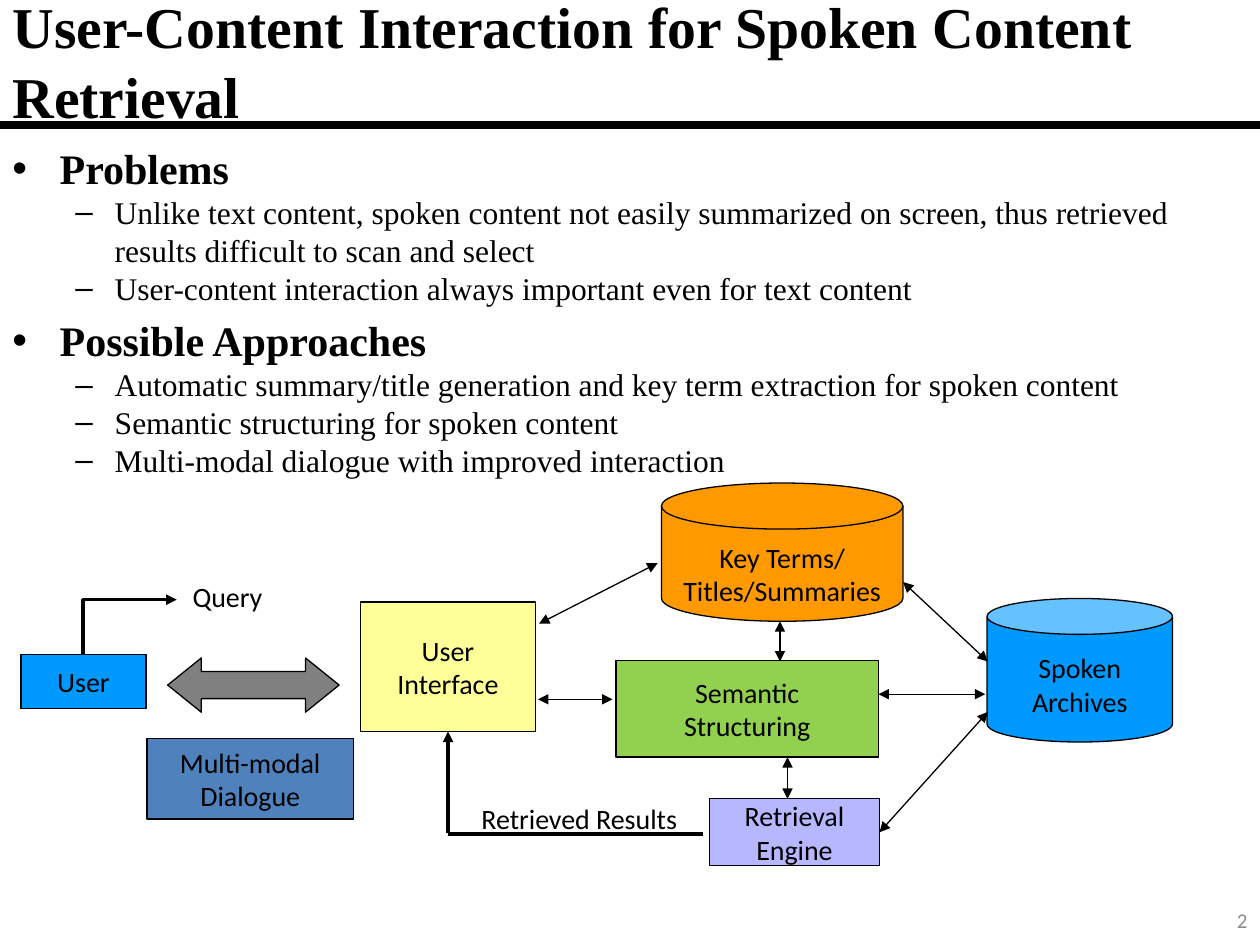
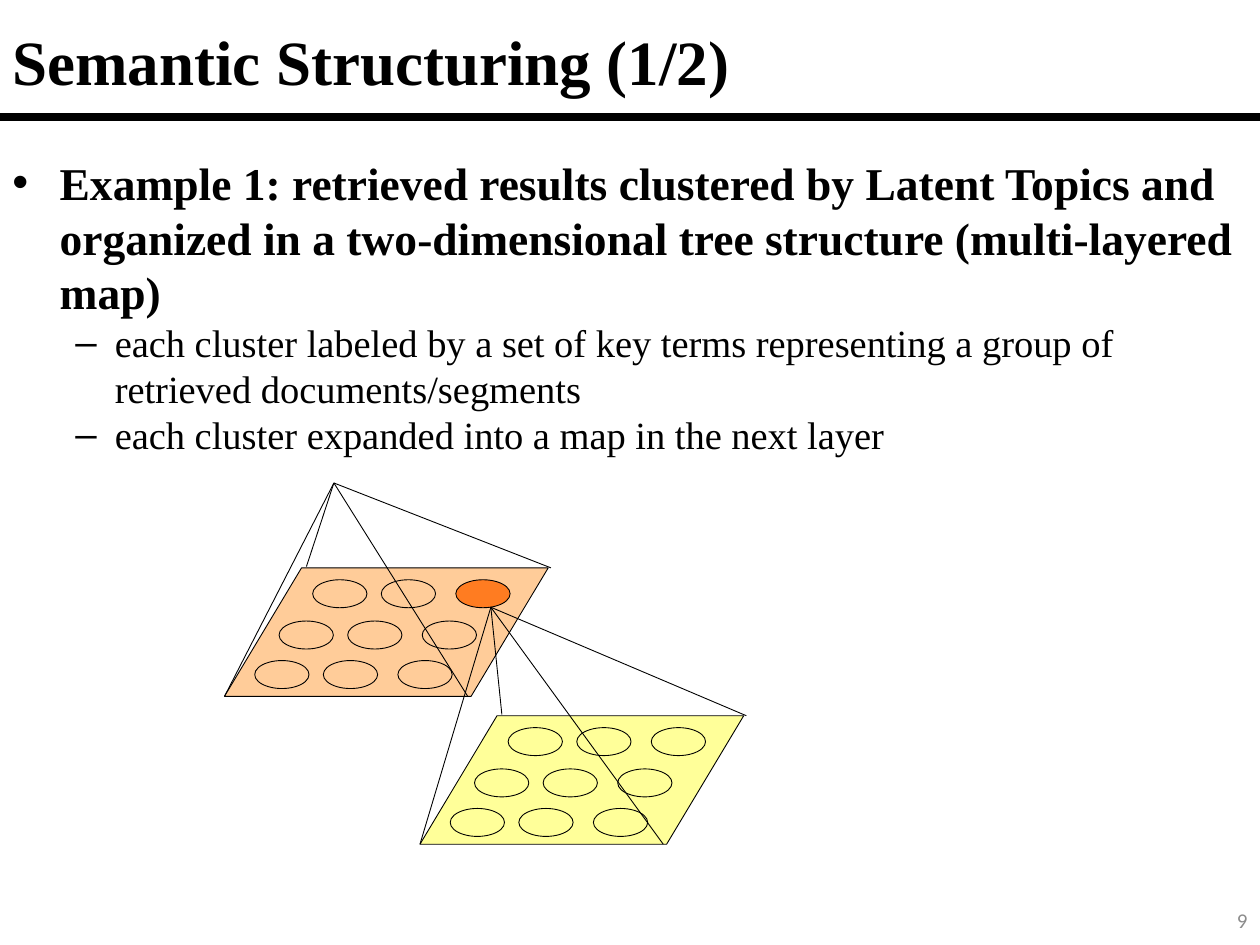
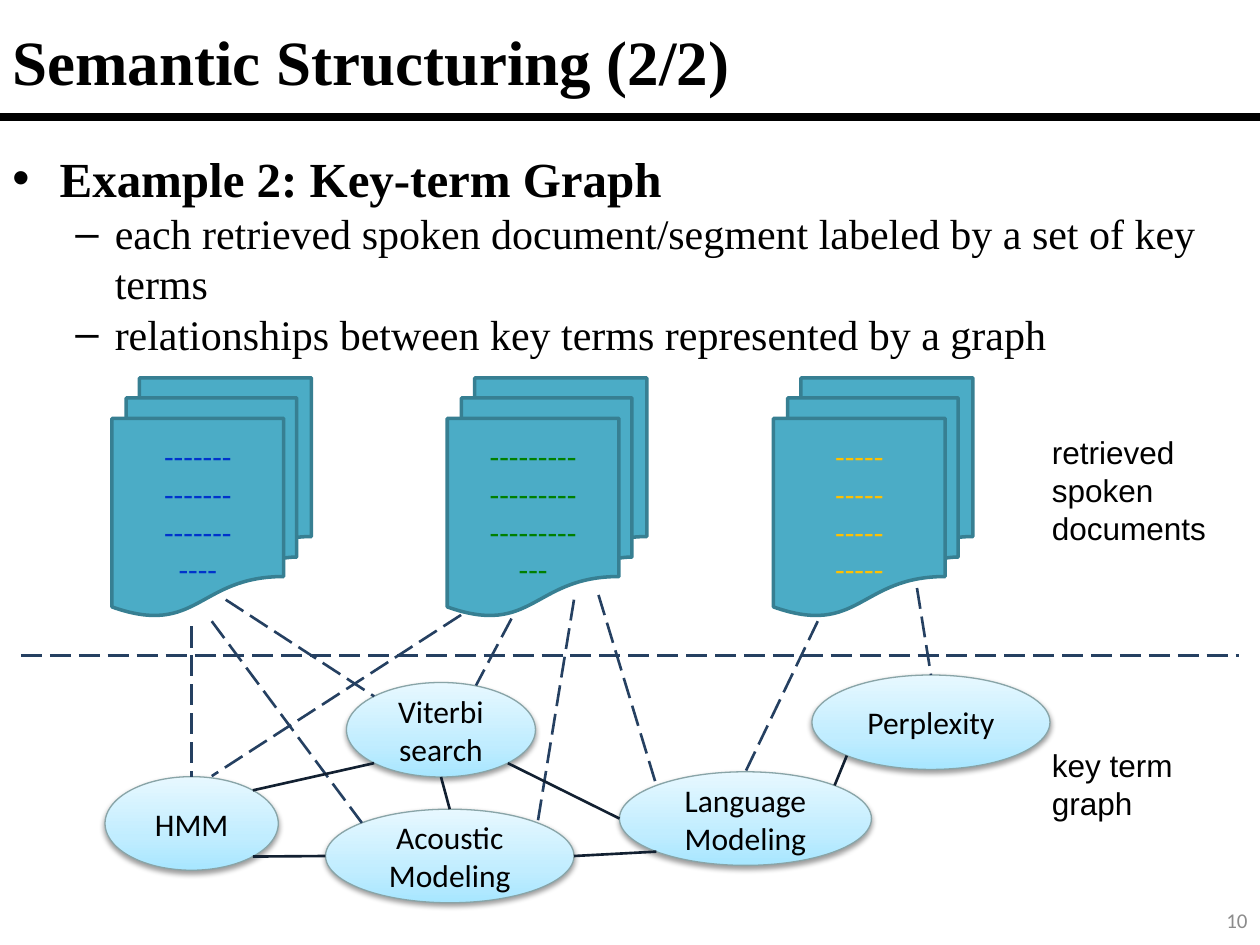
from math import cos, radians, sin

from lxml.etree import SubElement
from pptx import Presentation
from pptx.dml.color import RGBColor
from pptx.enum.dml import MSO_LINE_DASH_STYLE as Dash
from pptx.enum.shapes import MSO_CONNECTOR as Connector
from pptx.enum.shapes import MSO_SHAPE as Preset
from pptx.enum.text import MSO_ANCHOR as Anchor
from pptx.enum.text import PP_ALIGN as Align
from pptx.oxml.ns import qn
from pptx.util import Pt

COLOURS = {
    "black": "000000", "number": "8C8C8C",
    "blue": "0099FF", "orange": "FF9900", "grey": "808080", "steel": "4F81BD",
    "lilac": "B7B7FF", "yellow": "FFFF99", "green": "92D050",
    "peach": "FFCC99", "selected": "FF6600",
    "paper": "4BACC6", "paper edge": "377F92",
    "blue dashes": "0033CC", "green dashes": "008000", "gold dashes": "FFC000",
    "term edge": "89A4A7", "dashed link": "254061", "solid link": "122031",
}
TERM_GRADIENT = [(0, "A7E6FF"), (35, "C1EDFF"), (100, "E7F8FF")]
SERIF, SANS, LABEL = "Times New Roman", "Calibri", "Arial"
# Marker, left margin and hanging indent of each outline level
LEVELS = [("•", 27, 27), ("–", 58.5, 22.5)]


def colour(name):
    return RGBColor.from_string(COLOURS[name])


# Text
def write(shape, lines, size=16, font=SANS, color="black", bold=False,
          align=Align.CENTER, anchor=Anchor.MIDDLE, wrap=True,
          insets=(7.2, 3.6, 7.2, 3.6)):
    """Put one paragraph per line in the shape and return the paragraphs."""
    frame = shape.text_frame
    frame.word_wrap = wrap
    frame.vertical_anchor = anchor
    (frame.margin_left, frame.margin_top,
     frame.margin_right, frame.margin_bottom) = map(Pt, insets)
    paras = []
    for index, line in enumerate(lines):
        para = frame.add_paragraph() if index else frame.paragraphs[0]
        para.alignment = align
        span = para.add_run()
        span.text = line
        span.font.size = Pt(size)
        span.font.name = font
        span.font.bold = bold
        span.font.color.rgb = colour(color)
        paras.append(para)
    return paras


def add_text(page, area, lines, **style):
    box = page.shapes.add_textbox(*map(Pt, area))
    return write(box, lines, **style)


def add_outline(page, area, items, sizes):
    """Bulleted list; items are (level, text), sizes are per level."""
    paras = add_text(page, area, [text for _, text in items], font=SERIF,
                     align=Align.LEFT, anchor=Anchor.TOP)
    for para, (level, _) in zip(paras, items):
        marker, margin, hanging = LEVELS[level]
        span = para.runs[0]
        span.font.size = Pt(sizes[level])
        span.font.bold = level == 0
        para.level = level
        para.space_before = Pt(0 if level else sizes[0] * 0.2)
        props = para._p.get_or_add_pPr()
        props.set("marL", str(Pt(margin)))
        props.set("indent", str(-Pt(hanging)))
        SubElement(props, qn("a:buFont"), typeface=LABEL)
        SubElement(props, qn("a:buChar"), char=marker)


# Shapes and lines
def add_preset(page, preset, area, fill=None, line="black", width=0.75, adjust=()):
    shape = page.shapes.add_shape(preset, *map(Pt, area))
    shape.shadow.inherit = False
    for index, value in enumerate(adjust):
        shape.adjustments[index] = value
    if fill:
        shape.fill.solid()
        shape.fill.fore_color.rgb = colour(fill)
    else:
        shape.fill.background()
    shape.line.color.rgb = colour(line)
    shape.line.width = Pt(width)
    return shape


def add_link(page, start, end, color="black", width=0.75, dash=None,
             head=False, tail=False, kind=Connector.STRAIGHT):
    link = page.shapes.add_connector(kind, *map(Pt, (*start, *end)))
    link.line.color.rgb = colour(color)
    link.line.width = Pt(width)
    if dash:
        link.line.dash_style = dash
    stroke = link.line._get_or_add_ln()
    for tag, wanted in (("a:headEnd", head), ("a:tailEnd", tail)):
        if wanted:
            SubElement(stroke, qn(tag), type="triangle")
    SubElement(link._element.spPr, qn("a:effectLst"))
    return link


def add_double_arrow(page, start, end):
    return add_link(page, start, end, head=True, tail=True)


def add_page(deck, title, number, title_size=36, rule_top=67):
    """Blank page with the shared title, rule and page number."""
    page = deck.slides.add_slide(deck.slide_layouts[6])
    add_text(page, (0, 6, 719, 57), [title], size=title_size, font=SERIF,
             bold=True, align=Align.LEFT)
    add_link(page, (0, rule_top), (720, rule_top), width=4.5)
    add_text(page, (558, 511, 162, 29), [number], size=12, color="number",
             align=Align.RIGHT)
    return page


# Slide 1: system diagram
def add_system_page(deck):
    page = add_page(deck, "User-Content Interaction for Spoken Content Retrieval",
                    "2", title_size=33, rule_top=71.3)
    add_outline(page, (0, 78, 720, 202), [
        (0, "Problems"),
        (1, "Unlike text content, spoken content not easily summarized on screen, "
            "thus retrieved results difficult to scan and select"),
        (1, "User-content interaction always important even for text content"),
        (0, "Possible Approaches"),
        (1, "Automatic summary/title generation and key term extraction for "
            "spoken content"),
        (1, "Semantic structuring for spoken content"),
        (1, "Multi-modal dialogue with improved interaction"),
    ], sizes=(24, 18))

    # Stores
    summaries = add_preset(page, Preset.FLOWCHART_MAGNETIC_DISK,
                           (378, 276, 138, 79), "orange")
    write(summaries, ["Key Terms/", "Titles/Summaries"], insets=(7.2, 14.4, 7.2, 2.9))
    archives = add_preset(page, Preset.CAN, (564, 342, 106, 82), "blue", adjust=[0.25])
    write(archives, ["Spoken", "Archives"], anchor=Anchor.BOTTOM, wrap=False)

    # Modules
    modules = {}
    for lines, area, fill in [
        (["User"], (12, 374, 71.5, 31), "blue"),
        (["Multi-modal Dialogue"], (84, 422, 118, 46), "steel"),
        (["User", "Interface"], (206, 344, 100, 74), "yellow"),
        (["Semantic", "Structuring"], (352, 377.3, 150, 55.4), "green"),
        (["Retrieval", "Engine"], (405.4, 456.5, 97.2, 38.2), "lilac"),
    ]:
        name = " ".join(lines)
        modules[name] = add_preset(page, Preset.RECTANGLE, area, fill)
        write(modules[name], lines)
    add_preset(page, Preset.LEFT_RIGHT_ARROW, (95.8, 376, 98, 31), "grey",
               adjust=[0.5, 0.62])

    # Query and results
    add_text(page, (101, 327.6, 58, 26.6), ["Query"], wrap=False)
    query = add_link(page, (101, 342.7), (47.5, 374), width=2, head=True,
                     kind=Connector.ELBOW)
    query._element.spPr.find(qn("a:prstGeom")).set("prst", "bentConnector2")
    add_text(page, (254, 454.3, 154, 26.6), ["Retrieved Results"], anchor=Anchor.TOP)
    add_link(page, (402, 476.6), (256, 476.6), width=2)
    results = add_link(page, (256, 476), (256, 418), width=2, tail=True)
    results.end_connect(modules["User Interface"], 2)

    # Two-way exchanges
    for start, end in [
        ((516, 332.6), (564.5, 378)),
        ((375.8, 321.8), (308, 356.4)),
        ((445.7, 355), (445.7, 378)),
        ((450, 432.7), (450, 456.5)),
        ((307.4, 399.6), (350, 399.6)),
        ((502, 396.7), (563, 396.7)),
    ]:
        add_double_arrow(page, start, end)
    search = add_double_arrow(page, (502.6, 475.6), (564.5, 406.8))
    search.begin_connect(modules["Retrieval Engine"], 3)


# Slide 2: layered maps
def add_map(page, left, top, apex, fill, selected=None):
    """Slanted plate with nine clusters, hung from an apex by four lines."""
    add_preset(page, Preset.PARALLELOGRAM, (left, top, 185, 73.4), fill,
               width=0.5, adjust=[0.6])
    for row, (indent, drop) in enumerate([(50.4, 6.8), (31.2, 30.4), (17.3, 53)]):
        for column, shift in enumerate((0, 39.2, 81.8)):
            chosen = (row, column) == selected
            cluster = add_preset(
                page, Preset.OVAL, (left + indent + shift, top + drop, 31, 16),
                "selected" if chosen else None, width=0.5)
            if chosen:
                tint = cluster._element.spPr.find(qn("a:solidFill"))[0]
                SubElement(tint, qn("a:alpha"), val="78000")
    for across, down in [(0, 73.4), (46.8, -0.7), (139, 73.4), (186.5, 0)]:
        add_link(page, apex, (left + across, top + down), width=0.5)


def add_map_page(deck):
    page = add_page(deck, "Semantic Structuring (1/2)", "9")
    add_outline(page, (0, 85, 719, 181), [
        (0, "Example 1: retrieved results clustered by Latent Topics and organized "
            "in a two-dimensional tree structure (multi-layered map)"),
        (1, "each cluster labeled by a set of key terms representing a group of "
            "retrieved documents/segments"),
        (1, "each cluster expanded into a map in the next layer"),
    ], sizes=(26, 22))
    add_map(page, 128.3, 324.5, (190.8, 276), "peach", selected=(0, 2))
    add_map(page, 240, 409, (280.5, 347), "yellow")


# Slide 3: key-term graph
def add_term(page, name, area):
    term = add_preset(page, Preset.OVAL, area, line="term edge")
    write(term, [name], size=18)
    term.fill.gradient()
    term.fill.gradient_angle = 90
    stops = term._element.spPr.find(qn("a:gradFill")).find(qn("a:gsLst"))
    for stop in list(stops):
        stops.remove(stop)
    for position, tint in TERM_GRADIENT:
        stop = SubElement(stops, qn("a:gs"), pos=str(position * 1000))
        SubElement(stop, qn("a:srgbClr"), val=tint)
    effects = term._element.spPr.find(qn("a:effectLst"))
    shadow = SubElement(effects, qn("a:outerShdw"), blurRad=str(Pt(3.1)),
                        dist=str(Pt(1.6)), dir="5400000", rotWithShape="0")
    shade = SubElement(shadow, qn("a:srgbClr"), val=COLOURS["black"])
    SubElement(shade, qn("a:alpha"), val="38000")


def rim(area, angle):
    """Point on an ellipse, the angle going clockwise from the right."""
    left, top, width, height = area
    turn = radians(angle)
    return (left + width / 2 * (1 + cos(turn)), top + height / 2 * (1 + sin(turn)))


def add_graph_page(deck):
    page = add_page(deck, "Semantic Structuring (2/2)", "10")
    add_outline(page, (0, 81.4, 719, 128), [
        (0, "Example 2: Key-term Graph"),
        (1, "each retrieved spoken document/segment labeled by a set of key terms"),
        (1, "relationships between key terms represented by a graph"),
    ], sizes=(28, 24))

    # Retrieved documents
    for left, dashes, color in [(64, (7, 7, 7, 4), "blue dashes"),
                                (255.6, (9, 9, 9, 3), "green dashes"),
                                (442, (5, 5, 5, 5), "gold dashes")]:
        stack = add_preset(page, Preset.FLOWCHART_MULTIDOCUMENT,
                           (left, 216, 114, 136), "paper", "paper edge", 2)
        write(stack, ["-" * count for count in dashes], size=18, color=color)

    # Labels of the two layers
    for label, top, width in [("retrieved spoken documents", 244, 105),
                              ("key term graph", 422.6, 84)]:
        add_text(page, (594, top, width, 48), [label], size=18, font=LABEL,
                 align=Align.LEFT, anchor=Anchor.TOP)

    # Key terms
    terms = {
        "Acoustic Modeling": (186, 462.4, 142, 53.5),
        "Viterbi search": (198, 390, 108, 54),
        "HMM": (60, 443.8, 99, 53.5),
        "Language Modeling": (354, 441, 144, 53.5),
        "Perplexity": (464, 385.7, 136, 54),
    }
    for name, area in terms.items():
        add_term(page, name, area)
    hmm, viterbi = terms["HMM"], terms["Viterbi search"]
    acoustic, language = terms["Acoustic Modeling"], terms["Language Modeling"]
    perplexity = terms["Perplexity"]

    # Layer divider and links from documents to terms
    for start, end in [
        ((12, 374.6), (708, 374.6)),
        ((109.5, 358), rim(hmm, 270)),
        ((129, 342.7), rim(viterbi, 225)),
        ((121, 355), rim(acoustic, 225)),
        ((328, 342.7), rim(acoustic, 315)),
        ((467.3, 355), rim(language, 270)),
        ((342, 340), rim(language, 225)),
        ((292.3, 353.5), (272, 391.7)),
        ((263.5, 351.4), (121, 443.5)),
        ((524, 336), rim(perplexity, 270)),
    ]:
        add_link(page, start, end, "dashed link", 1.5, Dash.LONG_DASH)

    # Links between terms
    for first, leaving, second, arriving in [
        (hmm, 315, viterbi, 135),
        (acoustic, 270, viterbi, 90),
        (hmm, 45, acoustic, 180),
        (viterbi, 45, language, 180),
        (acoustic, 0, language, 135),
        (language, 315, perplexity, 135),
    ]:
        add_link(page, rim(first, leaving), rim(second, arriving), "solid link", 1.5)


def main():
    deck = Presentation()
    deck.slide_width, deck.slide_height = Pt(720), Pt(540)
    add_system_page(deck)
    add_map_page(deck)
    add_graph_page(deck)
    deck.save("out.pptx")


if __name__ == "__main__":
    main()
